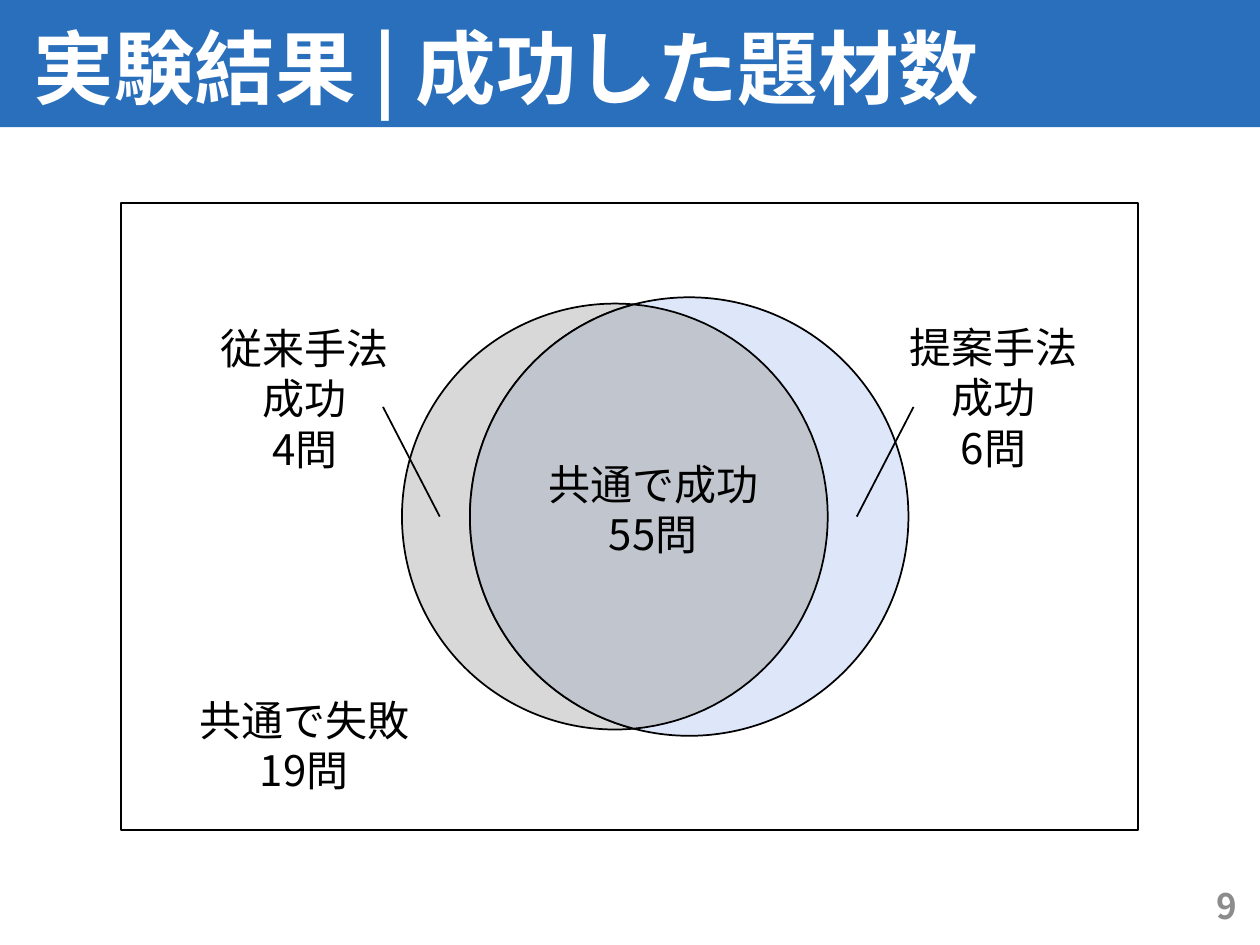
import math

from lxml import etree
from pptx import Presentation
from pptx.dml.color import RGBColor
from pptx.enum.shapes import MSO_CONNECTOR, MSO_SHAPE
from pptx.enum.text import MSO_ANCHOR, PP_ALIGN
from pptx.oxml.ns import qn
from pptx.util import Inches, Pt

RECTANGLE, CIRCLE = MSO_SHAPE.RECTANGLE, MSO_SHAPE.FLOWCHART_CONNECTOR
STRAIGHT = MSO_CONNECTOR.STRAIGHT
TOP, MIDDLE = MSO_ANCHOR.TOP, MSO_ANCHOR.MIDDLE
LEFT, CENTER, RIGHT = PP_ALIGN.LEFT, PP_ALIGN.CENTER, PP_ALIGN.RIGHT

# Content
FONT = "Noto Sans CJK JP"
WIDTH, HEIGHT = 10, 7.5
TITLE = "実験結果 | 成功した題材数"
PAGE_NUMBER = "9"
FRAME = (0.96, 1.61, 8.07, 4.98)
CENTER_Y = 4.1
OLD_METHOD = {"x": 4.88, "radius": 1.69, "fill": "D8D8D8"}
NEW_METHOD = {"x": 5.47, "radius": 1.74, "fill": "DEE7FA"}
OVERLAP_FILL = "C1C5CD"
LABELS = [  # text, box
    ("従来手法\n成功\n4問", (1.46, 2.51, 1.92, 1.31)),
    ("提案手法\n成功\n6問", (7, 2.5, 1.77, 1.31)),
    ("共通で失敗\n19問", (1.25, 5.46, 2.33, 0.91)),
    ("共通で成功\v55問", (4.11, 3.59, 2.15, 0.91)),
]
LEADERS = [(3.49, 3.04), (6.8, 7.25)]  # x inside the circle, x at the label
LEADER_TOP = 3.23
ARC_STEPS = 60

presentation = Presentation()
presentation.slide_width, presentation.slide_height = Inches(WIDTH), Inches(HEIGHT)
slide = presentation.slides.add_slide(presentation.slide_layouts[6])
shapes = slide.shapes


def color(hex_string):
    return RGBColor.from_string(hex_string)


def style(shape, fill=None, line="000000"):
    shape.shadow.inherit = False
    if fill:
        shape.fill.solid()
        shape.fill.fore_color.rgb = color(fill)
    else:
        shape.fill.background()
    if line:
        shape.line.color.rgb = color(line)
        shape.line.width = Pt(1)
    else:
        shape.line.fill.background()


def add_shape(kind, box, fill=None, line="000000"):
    style(shapes.add_shape(kind, *map(Inches, box)), fill, line)


def add_text(text, box, size=24, text_color="000000", bold=False,
             align=CENTER, anchor=TOP, spacing=None):
    text_frame = shapes.add_textbox(*map(Inches, box)).text_frame
    text_frame.word_wrap = True
    text_frame.vertical_anchor = anchor
    text_frame.text = text
    for paragraph in text_frame.paragraphs:
        paragraph.alignment = align
        paragraph.line_spacing = spacing
        for run in paragraph.runs:
            font = run.font
            font.size, font.bold, font.name = Pt(size), bold, FONT
            font.color.rgb = color(text_color)
            east_asian = etree.SubElement(run._r.get_or_add_rPr(), qn("a:ea"))
            east_asian.set("typeface", FONT)


def add_circle(circle):
    radius = circle["radius"]
    box = (circle["x"] - radius, CENTER_Y - radius, 2 * radius, 2 * radius)
    add_shape(CIRCLE, box, circle["fill"])


def arc(circle, start, end):
    angles = [start + (end - start) * step / ARC_STEPS for step in range(ARC_STEPS + 1)]
    return [(Inches(circle["x"] + circle["radius"] * math.cos(angle)),
             Inches(CENTER_Y + circle["radius"] * math.sin(angle))) for angle in angles]


def add_overlap(left, right):
    """Outline the lens shared by two circles centred on the same height."""
    distance = right["x"] - left["x"]
    offset = (distance ** 2 + left["radius"] ** 2 - right["radius"] ** 2) / (2 * distance)
    left_angle = math.acos(offset / left["radius"])
    right_angle = math.acos((offset - distance) / right["radius"])
    points = (arc(left, -left_angle, left_angle)
              + arc(right, right_angle, 2 * math.pi - right_angle))
    builder = shapes.build_freeform(*points[0])
    builder.add_line_segments(points[1:], close=True)
    style(builder.convert_to_shape(), OVERLAP_FILL)


# Title band and page number
add_shape(RECTANGLE, (0, 0, WIDTH, 1.01), "296FBC", None)
add_text(TITLE, (0.17, 0.07, 9.63, 1.01), 46, "FFFFFF", True, LEFT, MIDDLE, 0.9)
add_text(PAGE_NUMBER, (9.23, 6.99, 0.69, 0.4), 20, "8C8C8C", True, RIGHT, MIDDLE)

# Venn diagram
add_shape(RECTANGLE, FRAME)
add_circle(OLD_METHOD)
add_circle(NEW_METHOD)
add_overlap(OLD_METHOD, NEW_METHOD)

# Labels and their leader lines
for text, box in LABELS:
    add_text(text, box)
for inner_x, label_x in LEADERS:
    leader = shapes.add_connector(STRAIGHT, Inches(inner_x), Inches(CENTER_Y),
                                  Inches(label_x), Inches(LEADER_TOP))
    leader.line.color.rgb = color("000000")
    leader.line.width = Pt(1)
    etree.SubElement(leader._element.spPr, qn("a:effectLst"))

presentation.save("out.pptx")
